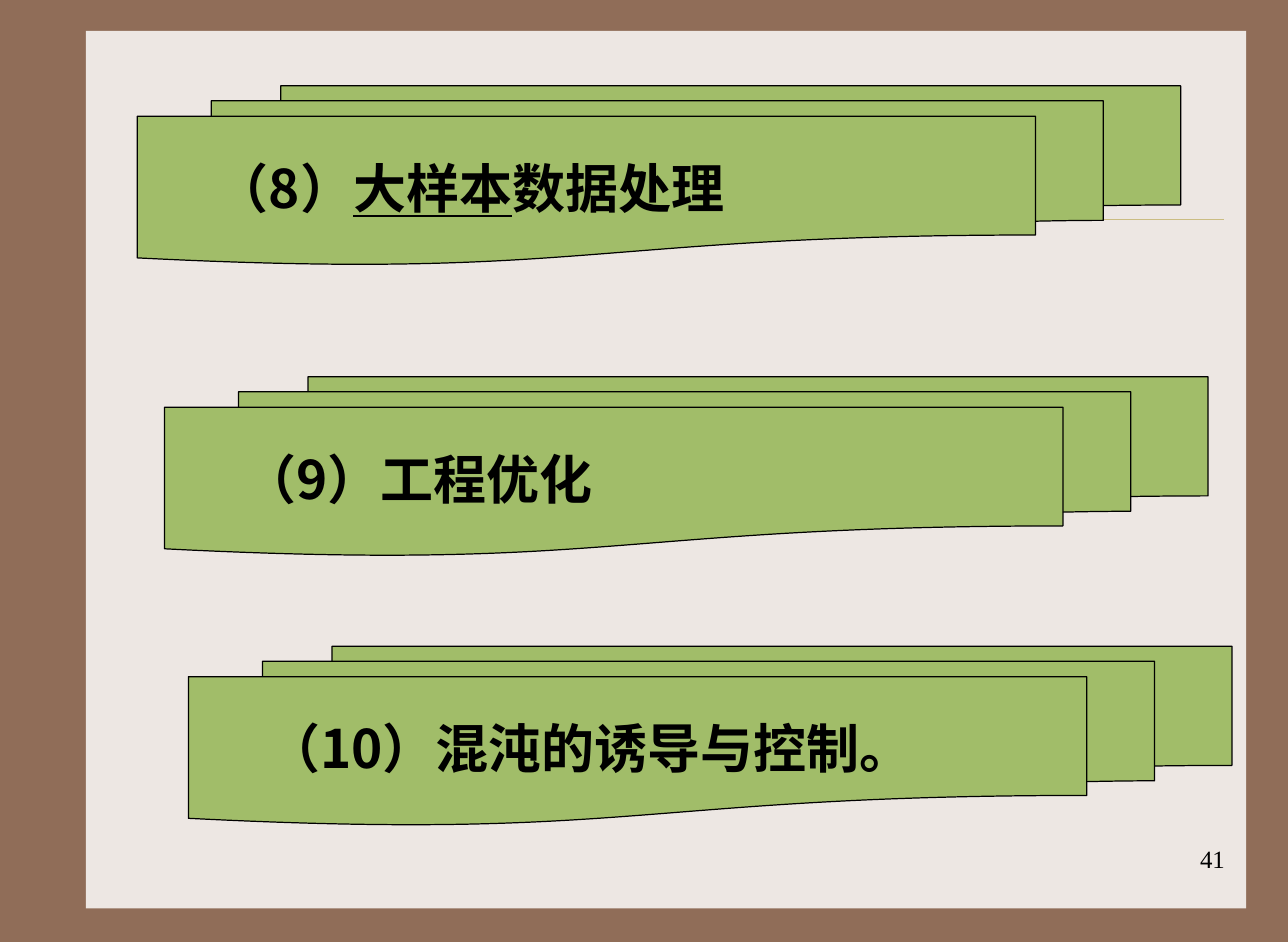
from lxml.etree import SubElement
from pptx import Presentation
from pptx.dml.color import RGBColor
from pptx.enum.shapes import MSO_CONNECTOR, MSO_SHAPE
from pptx.enum.text import MSO_ANCHOR, PP_ALIGN
from pptx.oxml.ns import qn
from pptx.util import Inches, Pt

BROWN, CREAM, GREEN, SAND, BLACK = "906D58", "EDE7E3", "A1BD69", "CBBD83", "000000"
CHINESE_FONT, NUMBER_FONT = "Noto Sans CJK SC", "Times New Roman"

# Left, top and (text, underlined) runs of each topic
TOPICS = [
    (1.58, 5.42, [("（10）混沌的诱导与控制。", False)]),
    (1.15, 0.72, [("（8）", False), ("大样本", True), ("数据处理", False)]),
    (1.38, 3.16, [("（9）工程优化", False)]),
]


def paint(fill, color):
    fill.solid()
    fill.fore_color.rgb = RGBColor.from_string(color)


def add_run(paragraph, text, font_name, size, bold=False, underline=False):
    run = paragraph.add_run()
    run.text = text
    font = run.font
    font.size, font.bold, font.underline = Pt(size), bold, underline
    font.color.rgb = RGBColor.from_string(BLACK)
    font.name = font_name
    east_asian = SubElement(font._element, qn("a:ea"))
    east_asian.set("typeface", font_name)


def add_filled_shape(slide, preset, left, top, width, height, color):
    shape = slide.shapes.add_shape(
        preset, Inches(left), Inches(top), Inches(width), Inches(height))
    shape.shadow.inherit = False
    paint(shape.fill, color)
    return shape


def add_page(slide):
    page = add_filled_shape(slide, MSO_SHAPE.RECTANGLE, 0.72, 0.26, 9.73, 7.36, CREAM)
    page.line.fill.background()


def add_rule(slide):
    rule = slide.shapes.add_connector(
        MSO_CONNECTOR.STRAIGHT, Inches(1.2), Inches(1.84), Inches(10.26), Inches(1.84))
    rule.line.width = Pt(0.25)
    paint(rule.line.fill, SAND)
    SubElement(rule._element.spPr, qn("a:effectLst"))


def add_page_number(slide, number):
    box = slide.shapes.add_textbox(Inches(8.13), Inches(7.03), Inches(2.25), Inches(0.53))
    frame = box.text_frame
    frame.word_wrap = True
    frame.margin_left = frame.margin_right = Inches(0.11)
    paragraph = frame.paragraphs[0]
    paragraph.alignment = PP_ALIGN.RIGHT
    add_run(paragraph, number, NUMBER_FONT, 15)


def add_topic(slide, left, top, runs):
    topic = add_filled_shape(
        slide, MSO_SHAPE.FLOWCHART_MULTIDOCUMENT, left, top, 8.75, 1.5, GREEN)
    topic.line.width = Pt(0.75)
    paint(topic.line.fill, BLACK)
    frame = topic.text_frame
    frame.word_wrap = True
    frame.vertical_anchor = MSO_ANCHOR.MIDDLE
    frame.margin_left = Inches(0.66)
    paragraph = frame.paragraphs[0]
    paragraph.alignment = PP_ALIGN.LEFT
    for text, underline in runs:
        add_run(paragraph, text, CHINESE_FONT, 32, bold=True, underline=underline)


def main():
    deck = Presentation()
    deck.slide_width, deck.slide_height = Inches(10.8), Inches(7.9)
    slide = deck.slides.add_slide(deck.slide_layouts[6])
    paint(slide.background.fill, BROWN)
    add_page(slide)
    add_rule(slide)
    add_page_number(slide, "41")
    for left, top, runs in TOPICS:
        add_topic(slide, left, top, runs)
    deck.save("out.pptx")


if __name__ == "__main__":
    main()
